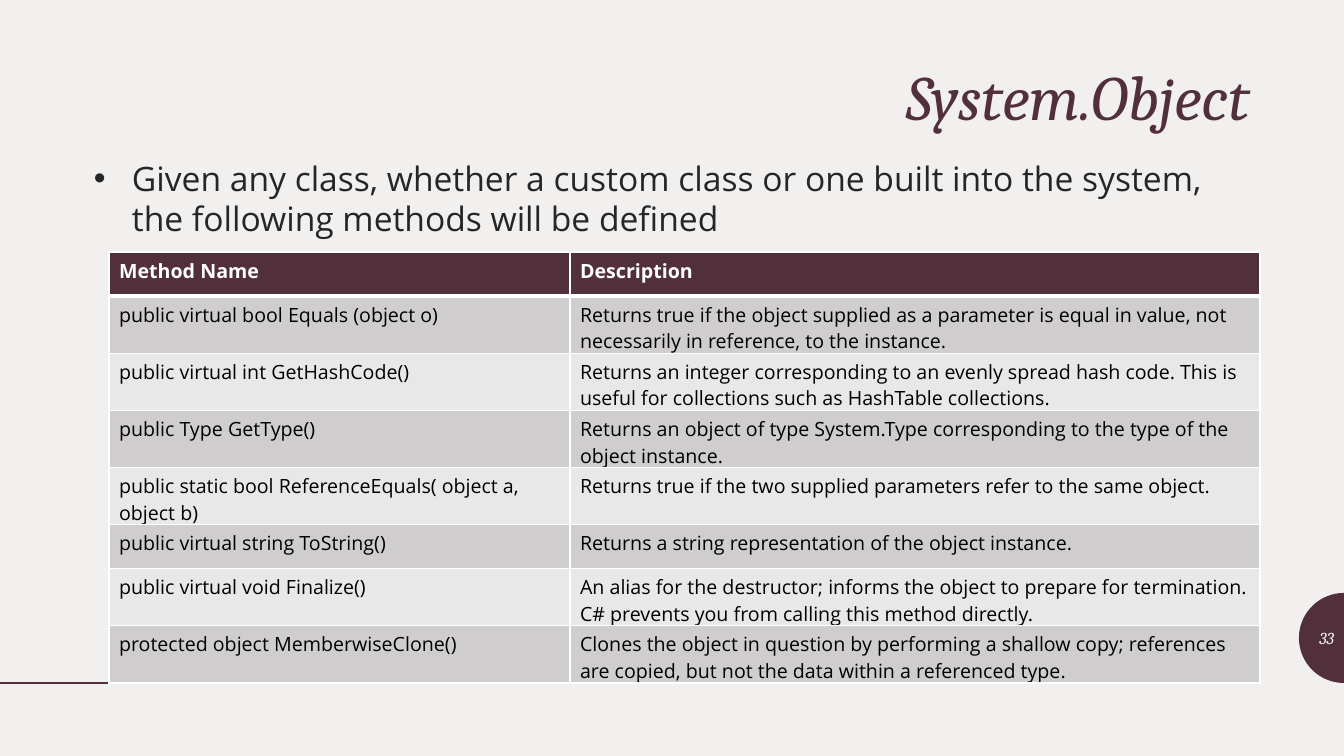
"""Build the System.Object slide with its table of methods."""
from math import cos, pi, sin

from lxml.etree import SubElement
from pptx import Presentation
from pptx.dml.color import RGBColor
from pptx.enum.shapes import MSO_CONNECTOR as Connector
from pptx.enum.text import MSO_ANCHOR as Anchor, PP_ALIGN as Align
from pptx.oxml.ns import qn
from pptx.util import Pt

TITLE = "System.Object"
BULLET = ("Given any class, whether a custom class or one built into the system, "
          "the following methods will be defined")
PAGE_NUMBER = "33"
METHODS = [
    ("Method Name", "Description"),
    ("public virtual bool Equals (object o)",
     "Returns true if the object supplied as a parameter is equal in value, "
     "not necessarily in reference, to the instance."),
    ("public virtual int GetHashCode()",
     "Returns an integer corresponding to an evenly spread hash code. "
     "This is useful for collections such as HashTable collections."),
    ("public Type GetType()",
     "Returns an object of type System.Type corresponding to the type of the object instance."),
    ("public static bool ReferenceEquals( object a, object b)",
     "Returns true if the two supplied parameters refer to the same object."),
    ("public virtual string ToString()",
     "Returns a string representation of the object instance."),
    ("public virtual void Finalize()",
     "An alias for the destructor; informs the object to prepare for termination. "
     "C# prevents you from calling this method directly."),
    ("protected object MemberwiseClone()",
     "Clones the object in question by performing a shallow copy; "
     "references are copied, but not the data within a referenced type."),
]
COLUMN_WIDTHS = (461, 690)
ROW_HEIGHTS = (44, 54, 54, 54, 44, 44, 54, 54)
COLORS = {"back": "F2F0EF", "plum": "51303B", "body": "262626", "white": "FFFFFF",
          "black": "000000", "odd": "D0CDCE", "even": "E9E8E8"}
HEADING_FONT, BODY_FONT = "Cambria", "Open Sans"
WIDTH, HEIGHT = 1344, 756
SCALE = 12192000 / WIDTH
ARC_RADIUS, ARC_MIDDLE, ARC_STEPS = 45, 638, 48


def px(*lengths):
    return [round(length * SCALE) for length in lengths]


def color(name):
    return RGBColor.from_string(COLORS[name])


def paint(target, name):
    target.fill.solid()
    target.fill.fore_color.rgb = color(name)


def write(frame, text, font, size, name, bold=False, italic=False, align=Align.LEFT):
    frame.word_wrap = True
    para = frame.paragraphs[0]
    para.text = text
    para.alignment = align
    para.font.name, para.font.size = font, Pt(size)
    para.font.bold, para.font.italic = bold, italic
    para.font.color.rgb = color(name)
    return para


def add_border(cell, side, points):
    line = SubElement(cell._tc.get_or_add_tcPr(), qn(f"a:ln{side}"), w=str(Pt(points)))
    fill = SubElement(line, qn("a:solidFill"))
    SubElement(fill, qn("a:srgbClr"), val=COLORS["white"])


def add_page_tab(page):
    angles = [pi / 2 + pi * step / ARC_STEPS for step in range(ARC_STEPS + 1)]
    points = [px(WIDTH + ARC_RADIUS * cos(angle), ARC_MIDDLE + ARC_RADIUS * sin(angle))
              for angle in angles]
    builder = page.shapes.build_freeform(*points[0])
    builder.add_line_segments(points[1:], close=True)
    tab = builder.convert_to_shape()
    tab.shadow.inherit = False
    paint(tab, "plum")
    tab.line.fill.background()


def add_rule(page):
    rule = page.shapes.add_connector(Connector.STRAIGHT, *px(0, 683, 496, 683))
    rule.line.color.rgb = color("plum")
    rule.line.width = Pt(2)
    SubElement(rule._element.spPr, qn("a:effectLst"))


def add_bullet(page):
    box = page.shapes.add_textbox(*px(84, 153, 1176, 518))
    para = write(box.text_frame, BULLET, BODY_FONT, 24, "body")
    para.line_spacing = 1.0
    properties = para._p.get_or_add_pPr()
    indent = px(38)[0]
    properties.set("marL", str(indent))
    properties.set("indent", str(-indent))
    SubElement(properties, qn("a:buFont"), typeface="Arial")
    SubElement(properties, qn("a:buChar"), char="•")
    properties.append(properties.find(qn("a:defRPr")))


def add_methods(page):
    frame = page.shapes.add_table(len(METHODS), len(COLUMN_WIDTHS),
                                  *px(109, 252, sum(COLUMN_WIDTHS), sum(ROW_HEIGHTS)))
    table = frame.table
    for column, width in zip(table.columns, px(*COLUMN_WIDTHS)):
        column.width = width
    for row, height in zip(table.rows, px(*ROW_HEIGHTS)):
        row.height = height
    for r, texts in enumerate(METHODS):
        header = r == 0
        for c, text in enumerate(texts):
            cell = table.cell(r, c)
            write(cell.text_frame, text, BODY_FONT, 14,
                  "white" if header else "black", bold=header)
            for side in "LRTB":
                add_border(cell, side, 3 if (r, side) in ((0, "B"), (1, "T")) else 1)
            paint(cell, "plum" if header else "odd" if r % 2 else "even")


def main():
    deck = Presentation()
    deck.slide_width, deck.slide_height = px(WIDTH, HEIGHT)
    page = deck.slides.add_slide(deck.slide_layouts[5])
    paint(page.background, "back")
    add_page_tab(page)
    add_rule(page)

    title = page.shapes.title
    title.left, title.top, title.width, title.height = px(84, 61, 1176, 77)
    title.text_frame.vertical_anchor = Anchor.TOP
    para = write(title.text_frame, TITLE, HEADING_FONT, 45, "plum",
                 italic=True, align=Align.RIGHT)
    para.line_spacing = 0.9

    add_bullet(page)
    number = page.shapes.add_textbox(*px(1299, 618, 45, 40))
    number.text_frame.vertical_anchor = Anchor.MIDDLE
    write(number.text_frame, PAGE_NUMBER, HEADING_FONT, 12, "back",
          italic=True, align=Align.RIGHT)
    add_methods(page)
    deck.save("out.pptx")


if __name__ == "__main__":
    main()
